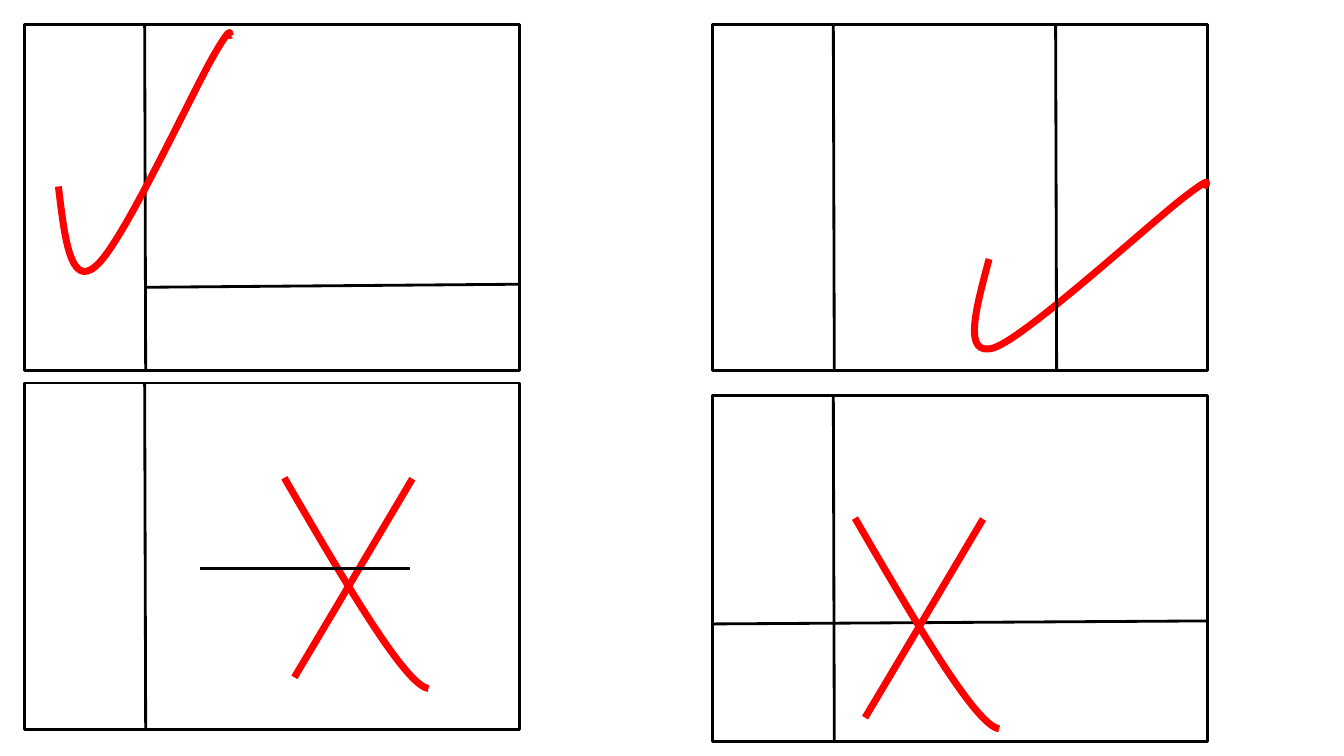
from lxml import etree
from pptx import Presentation
from pptx.dml.color import RGBColor
from pptx.enum.shapes import MSO_CONNECTOR, MSO_SHAPE
from pptx.oxml.ns import qn
from pptx.util import Inches, Pt

COLORS = {"frame": "000000", "mark": "FF0000"}
PANEL_W, PANEL_H = 4.91, 3.44
DIVIDER_X = 1.195


class Sketch:
    """Holds the line style and the slide being drawn."""
    widths = {"frame": Pt(2), "mark": Pt(5)}

    def __init__(self, slide):
        self.slide = slide

    def style(self, shape, kind):
        shape.line.color.rgb = RGBColor.from_string(COLORS[kind])
        shape.line.width = self.widths[kind]

    def line(self, x1, y1, x2, y2):
        connector = self.slide.shapes.add_connector(
            MSO_CONNECTOR.STRAIGHT, Inches(x1), Inches(y1), Inches(x2), Inches(y2))
        self.style(connector, "frame")
        etree.SubElement(connector._element.spPr, qn("a:effectLst"))

    def panel(self, left, top):
        box = self.slide.shapes.add_shape(
            MSO_SHAPE.RECTANGLE, Inches(left), Inches(top), Inches(PANEL_W), Inches(PANEL_H))
        box.shadow.inherit = False
        box.fill.background()
        self.style(box, "frame")
        x = left + DIVIDER_X
        self.line(x, top, x + 0.01, top + PANEL_H)

    def curve(self, points, dx=0, dy=0):
        """Draw a start point followed by triples of Bezier points."""
        start, *rest = [(Inches(x + dx), Inches(y + dy)) for x, y in points]
        builder = self.slide.shapes.build_freeform(*start)
        builder.add_line_segments(rest, close=False)
        shape = builder.convert_to_shape()
        shape.shadow.inherit = False
        shape.fill.background()
        self.style(shape, "mark")
        # Join each three straight segments into one cubic curve
        segments = list(shape._element.iter(qn("a:lnTo")))
        for i in range(0, len(segments), 3):
            bezier = etree.Element(qn("a:cubicBezTo"))
            segments[i].addprevious(bezier)
            for segment in segments[i:i + 3]:
                bezier.append(segment[0])
                segment.getparent().remove(segment)

    def cross(self, dx=0, dy=0):
        for stroke in CROSS:
            self.curve(stroke, dx, dy)


STEEP_TICK = [(0.58, 1.85), (0.64, 2.36), (0.70, 2.86), (0.95, 2.64), (1.21, 2.43),
              (1.90, 0.93), (2.12, 0.55), (2.34, 0.17), (2.26, 0.39), (2.29, 0.35)]
TILTED_TICK = [(9.81, 2.57), (9.68, 3.06), (9.54, 3.55), (9.86, 3.45), (10.18, 3.34),
               (11.39, 2.23), (11.74, 1.96), (12.09, 1.69), (11.92, 1.87), (11.97, 1.84)]
CROSS = [[(2.82, 4.74), (3.42, 5.77), (4.02, 6.80), (4.25, 6.83)],
         [(4.09, 4.75), (3.61, 5.56), (3.13, 6.37), (2.92, 6.72)]]

prs = Presentation()
prs.slide_width, prs.slide_height = Inches(13.33), Inches(7.5)
sketch = Sketch(prs.slides.add_slide(prs.slide_layouts[6]))

# Upper panels and lower left panel, each with a left divider
for left, top in [(0.24, 0.24), (0.24, 3.8), (7.07, 0.24)]:
    sketch.panel(left, top)

# Marks on those panels
sketch.curve(STEEP_TICK)
sketch.curve(TILTED_TICK)
sketch.cross()

# Second dividers
sketch.line(10.47, 0.24, 10.48, 3.68)
sketch.line(5.15, 2.82, 1.44, 2.85)
sketch.line(4.07, 5.64, 1.98, 5.64)

# Lower right panel, crossed out
sketch.panel(7.07, 3.92)
sketch.line(11.98, 6.16, 7.07, 6.19)
sketch.cross(dx=5.66, dy=0.4)

prs.save("out.pptx")
